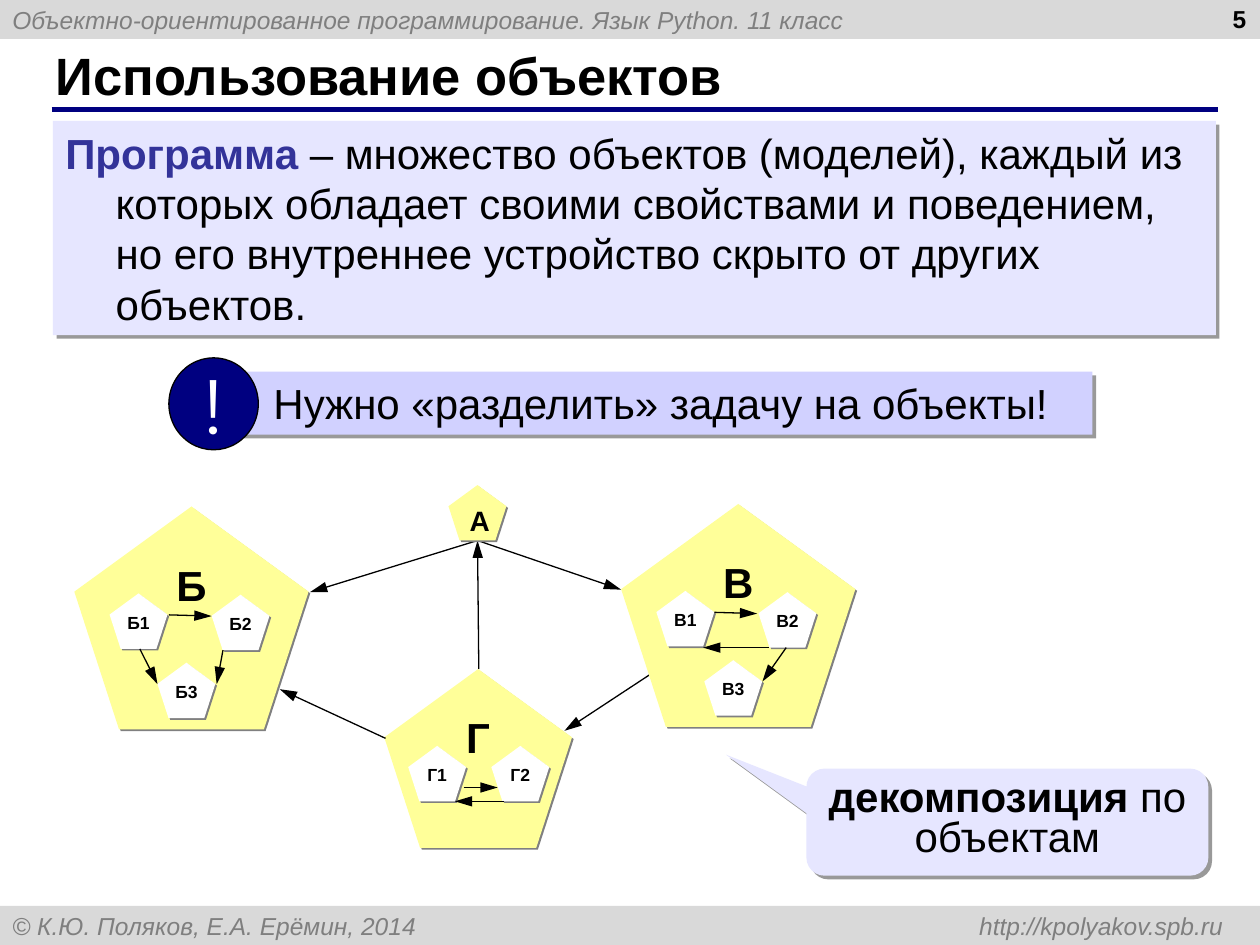
import pptx
import pptx.util
import pptx.dml.color
import pptx.enum.shapes
import pptx.enum.text
import pptx.oxml.ns
from lxml import etree

PX = 9144  # EMU in one px: 100 px to the inch
COLORS = {
    "black": "000000", "white": "FFFFFF", "navy": "000080", "term": "333399",
    "bar": "D9D9D9", "bar_text": "7F7F7F", "pale": "E6E6FF", "lilac": "D1D1FF",
    "yellow": "FFFF99", "grey": "808080",
}
SOFT = ("black", 40, 3)     # shadow colour, opacity in %, distance in pt
HARD = ("grey", 100, 1.4)
SHAPE = pptx.enum.shapes.MSO_SHAPE
ALIGN = pptx.enum.text.PP_ALIGN
ANCHOR = pptx.enum.text.MSO_ANCHOR


def rgb(name):
    return pptx.dml.color.RGBColor.from_string(COLORS[name])


def child(parent, tag, **attrs):
    return etree.SubElement(parent, pptx.oxml.ns.qn(tag),
                            {k: str(v) for k, v in attrs.items()})


class Deck:
    font = "Arial"

    def __init__(self, slide):
        self.slide = slide

    def set_text(self, sp, runs, size, align=ALIGN.LEFT, anchor=ANCHOR.TOP,
                 inset=(10, 5, 10, 5), wrap=True, font=None, indent=0, tab=None):
        """Fill a shape with one paragraph; runs are (text, colour, bold, italic)."""
        tf = sp.text_frame
        tf.word_wrap = wrap
        tf.vertical_anchor = anchor
        (tf.margin_left, tf.margin_top,
         tf.margin_right, tf.margin_bottom) = [v * PX for v in inset]
        p = tf.paragraphs[0]
        p.alignment = align
        pPr = p._p.get_or_add_pPr()
        if indent:
            pPr.set("marL", str(indent * PX))
            pPr.set("indent", str(-indent * PX))
        if tab:
            child(child(pPr, "a:tabLst"), "a:tab", pos=tab * PX, algn="r")
        for text, color, bold, italic in runs:
            r = p.add_run()
            r.text = text
            r.font.name = font or self.font
            r.font.size = pptx.util.Pt(size)
            r.font.bold, r.font.italic = bold, italic
            r.font.color.rgb = rgb(color)
        return p

    def title(self, text, *box):
        sp = self.slide.shapes.title
        sp.left, sp.top, sp.width, sp.height = [v * PX for v in box]
        self.set_text(sp, [(text, "black", True, False)], 30, anchor=ANCHOR.MIDDLE)

    def text(self, box, runs, size, **style):
        sp = self.slide.shapes.add_textbox(*[v * PX for v in box])
        self.set_text(sp, runs, size, **style)

    def shape(self, kind, box, fill, line=None, shadow=None):
        sp = self.slide.shapes.add_shape(kind, *[v * PX for v in box])
        sp.fill.solid()
        sp.fill.fore_color.rgb = rgb(fill)
        if line:
            sp.line.color.rgb = rgb(line)
            sp.line.width = pptx.util.Pt(0.75)
        else:
            sp.line.fill.background()
        sp.shadow.inherit = False
        if shadow:
            color, opacity, distance = shadow
            effects = sp._element.spPr.find(pptx.oxml.ns.qn("a:effectLst"))
            outer = child(effects, "a:outerShdw", blurRad=0, dir=45 * 60000,
                          dist=int(pptx.util.Pt(distance)), algn="tl",
                          rotWithShape=0)
            clr = child(outer, "a:srgbClr", val=COLORS[color])
            child(clr, "a:alpha", val=opacity * 1000)
        return sp

    def line(self, x1, y1, x2, y2, color="black", width=0.75, arrow=True):
        cx = self.slide.shapes.add_connector(
            pptx.enum.shapes.MSO_CONNECTOR.STRAIGHT,
            x1 * PX, y1 * PX, x2 * PX, y2 * PX)
        cx.line.color.rgb = rgb(color)
        cx.line.width = pptx.util.Pt(width)
        spPr = cx._element.spPr
        if arrow:
            child(spPr.find(pptx.oxml.ns.qn("a:ln")), "a:tailEnd",
                  type="triangle", w="med", len="lg")
        child(spPr, "a:effectLst")

    def bar(self, top, text, tab=None):
        sp = self.shape(SHAPE.RECTANGLE, (0, top, 1000, 31), "bar")
        self.set_text(sp, [(text, "bar_text", False, True)], 14,
                      anchor=ANCHOR.MIDDLE, tab=tab)

    def pentagon(self, label, box, fill, size, inset):
        sp = self.shape(SHAPE.REGULAR_PENTAGON, box, fill, shadow=HARD)
        self.set_text(sp, [(label, "black", True, False)], size,
                      align=ALIGN.CENTER, inset=inset)

    def cluster(self, label, x, y, w, h, parts, arrows):
        """An object with its numbered inner parts; offsets run from its corner."""
        self.pentagon(label, (x, y, w, h), "yellow", 24, (8, 0, 8, 4))
        for n, (dx, dy) in enumerate(parts, 1):
            self.pentagon(f"{label}{n}", (x + dx, y + dy, 46, 44),
                          "white", 10, (0, 4, 0, 4))
        for x1, y1, x2, y2 in arrows:
            self.line(x + x1, y + y1, x + x2, y + y2)


def main():
    prs = pptx.Presentation()
    prs.slide_width, prs.slide_height = 1000 * PX, 750 * PX
    s = Deck(prs.slides.add_slide(prs.slide_layouts[5]))

    # Header, footer and title
    s.bar(0, "Объектно-ориентированное программирование. Язык Python. 11 класс")
    s.bar(719, "© К.Ю. Поляков, Е.А. Ерёмин, 2014\thttp://kpolyakov.spb.ru", tab=961)
    s.line(41, 87, 967, 87, "navy", 3, arrow=False)
    s.title("Использование объектов", 34, 33, 916, 52)
    s.text((766, -2, 233, 52), [("5", "black", True, False)], 14, align=ALIGN.RIGHT)

    # Definition
    sp = s.shape(SHAPE.RECTANGLE, (42, 96, 923, 170), "pale", shadow=SOFT)
    s.set_text(sp, [("Программа", "term", True, False),
                    (" – множество объектов (моделей), каждый из которых обладает "
                     "своими свойствами и поведением, но его внутреннее устройство "
                     "скрыто от других объектов.", "black", False, False)],
               24, indent=40)

    # Key remark with its badge
    sp = s.shape(SHAPE.RECTANGLE, (189, 295, 678, 50), "lilac", shadow=SOFT)
    s.set_text(sp, [("Нужно «разделить» задачу на объекты!", "black", False, False)],
               24, inset=(28, 5, 10, 5))
    sp = s.shape(SHAPE.OVAL, (134, 284, 71, 73), "navy", line="black")
    s.set_text(sp, [("!", "white", False, False)], 44, align=ALIGN.CENTER,
               anchor=ANCHOR.MIDDLE, wrap=False, font="Montserrat")

    # Links between the objects
    for link in [(521, 532, 448, 580), (380, 531, 379, 429),
                 (379, 429, 246, 470), (379, 429, 493, 468)]:
        s.line(*link)

    # Objects and their inner parts
    s.pentagon("А", (356, 385, 46, 44), "yellow", 16, (8, 4, 8, 4))
    trio = [(28, 69), (109, 70), (66, 124)]
    s.cluster("Б", 59, 402, 186, 177, trio,
              [(75, 86, 109, 87), (52, 113, 66, 141), (118, 114, 113, 141)])
    s.cluster("В", 493, 400, 186, 177, trio,
              [(74, 86, 108, 87), (131, 114, 112, 141), (117, 114, 65, 114)])
    s.cluster("Г", 305, 531, 149, 142, [(19, 61), (85, 61)],
              [(95, 105, 56, 105), (63, 94, 90, 94)])
    s.line(306, 586, 222, 547)

    # Callout
    sp = s.shape(SHAPE.ROUNDED_RECTANGULAR_CALLOUT, (640, 610, 319, 85),
                 "pale", shadow=SOFT)
    for i, value in enumerate((-0.7, -0.63, 0.17)):
        sp.adjustments[i] = value
    p = s.set_text(sp, [("декомпозиция", "black", True, False),
                        (" по объектам", "black", False, False)],
                   24, align=ALIGN.CENTER)
    p.line_spacing = 0.8

    prs.save("out.pptx")


if __name__ == "__main__":
    main()
